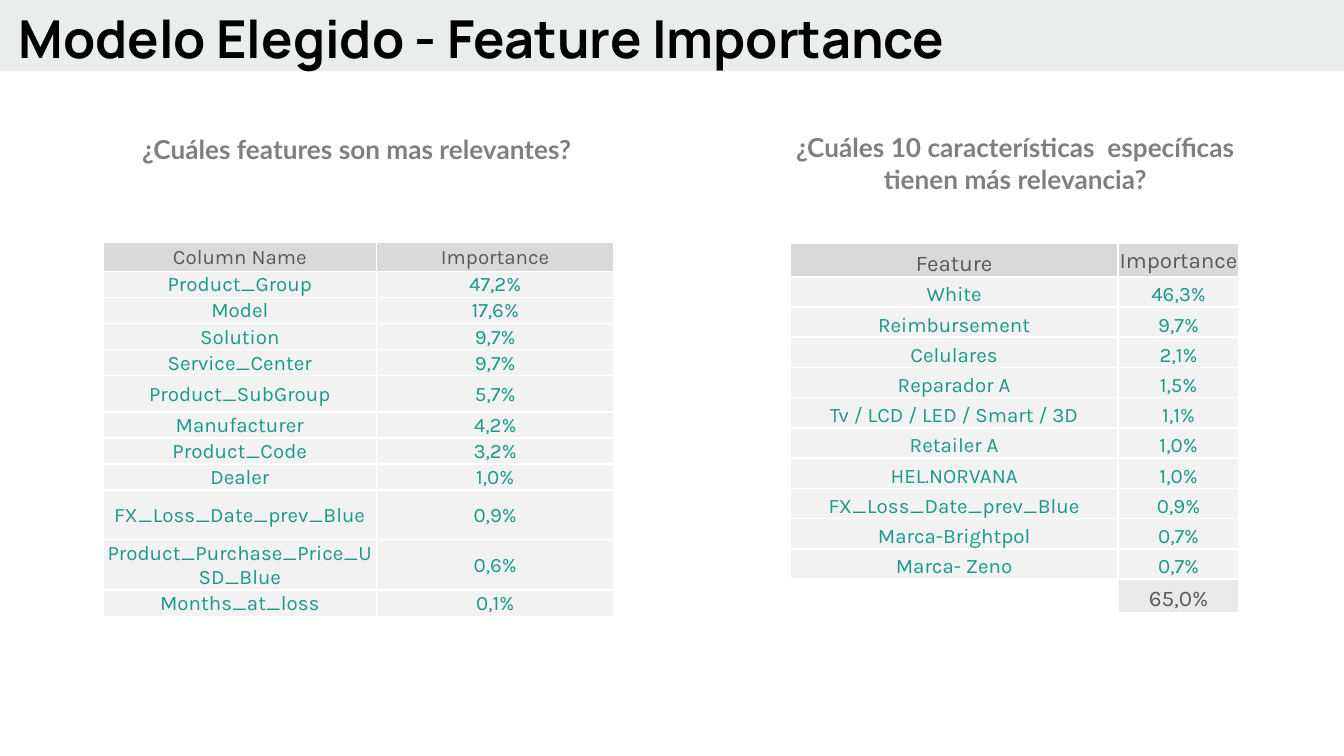
from lxml.etree import SubElement
from pptx import Presentation
from pptx.dml.color import RGBColor
from pptx.enum.shapes import MSO_SHAPE
from pptx.enum.text import MSO_ANCHOR, PP_ALIGN
from pptx.oxml.ns import qn
from pptx.util import Inches, Pt


def color(value):
    return RGBColor.from_string(value)


def write(paragraph, text, font, size, ink, bold=False, align=PP_ALIGN.LEFT):
    paragraph.alignment = align
    run = paragraph.add_run()
    run.text = text
    run.font.name = font
    run.font.size = Pt(size)
    run.font.bold = bold
    run.font.color.rgb = color(ink)


class SlideBuilder:
    white = "FFFFFF"
    band_fill = "E9EDEE"
    header_fill = "D9D9D9"
    body_fill = "F2F2F2"
    total_fill = "E9E9E9"
    gray = "595959"
    teal = "1A9988"
    table_font = "Karla"

    def __init__(self, slide):
        self.slide = slide

    def band(self, left, top, width, height):
        band = self.slide.shapes.add_shape(
            MSO_SHAPE.RECTANGLE, Inches(left), Inches(top), Inches(width), Inches(height))
        band.shadow.inherit = False
        band.fill.solid()
        band.fill.fore_color.rgb = color(self.band_fill)
        band.line.fill.background()

    def text(self, box, lines, inset=0.05, **style):
        frame = self.slide.shapes.add_textbox(*map(Inches, box)).text_frame
        frame.word_wrap = True
        frame.margin_left = frame.margin_right = Inches(0.1)
        frame.margin_top = frame.margin_bottom = Inches(inset)
        for index, line in enumerate(lines):
            paragraph = frame.add_paragraph() if index else frame.paragraphs[0]
            write(paragraph, line, **style)

    def borders(self, cell):
        properties = cell._tc.get_or_add_tcPr()
        for side in ("a:lnL", "a:lnR", "a:lnT", "a:lnB"):
            edge = SubElement(properties, qn(side), w=str(Pt(1)))
            fill = SubElement(edge, qn("a:solidFill"))
            SubElement(fill, qn("a:srgbClr"), val=self.white)

    def cell(self, cell, text, fill, size, ink, anchor):
        self.borders(cell)
        cell.margin_left = cell.margin_right = cell.margin_top = Inches(0.01)
        cell.margin_bottom = 0
        cell.vertical_anchor = anchor
        paragraph = cell.text_frame.paragraphs[0]
        if text:
            cell.fill.solid()
            cell.fill.fore_color.rgb = color(fill)
            write(paragraph, text, self.table_font, size, ink, align=PP_ALIGN.CENTER)
        else:
            cell.fill.background()
            SubElement(paragraph._p, qn("a:endParaRPr"), sz=str(size * 100))

    def table(self, left, top, widths, heights, rows, header_size, anchor, total=False):
        table = self.slide.shapes.add_table(
            len(rows), len(widths), Inches(left), Inches(top),
            Inches(sum(widths)), Inches(sum(heights))).table
        table.first_row = table.horz_banding = False
        for column, width in zip(table.columns, widths):
            column.width = Inches(width)
        for row, height in zip(table.rows, heights):
            row.height = Inches(height)
        for r, values in enumerate(rows):
            if r == 0:
                look = self.header_fill, header_size, self.gray
            elif total and r == len(rows) - 1:
                look = self.total_fill, header_size, self.gray
            else:
                look = self.body_fill, 11, self.teal
            for c, value in enumerate(values):
                self.cell(table.cell(r, c), value, *look, anchor)
        return table


def main():
    presentation = Presentation()
    presentation.slide_width = Inches(10)
    presentation.slide_height = Inches(10 * 9 / 16)
    builder = SlideBuilder(presentation.slides.add_slide(presentation.slide_layouts[6]))

    builder.band(0, 0, 10, 0.53)
    builder.text((0.04, -0.05, 8.41, 0.59), ["Modelo Elegido - Feature Importance"],
                 inset=0.1, font="Manrope", size=28, ink="000000", bold=True)

    question = dict(font="Lato", size=14, ink="808080", bold=True)
    builder.text((0.96, 0.94, 5.59, 0.34), ["¿Cuáles features son mas relevantes?"], **question)
    builder.text((4.76, 0.93, 5.59, 0.57),
                 ["¿Cuáles 10 características  específicas", "tienen más relevancia?"],
                 align=PP_ALIGN.CENTER, **question)

    specific_features = [
        ("Feature", "Importance"),
        ("White", "46,3%"),
        ("Reimbursement", "9,7%"),
        ("Celulares", "2,1%"),
        ("Reparador A", "1,5%"),
        ("Tv / LCD / LED / Smart / 3D", "1,1%"),
        ("Retailer A", "1,0%"),
        ("HEL.NORVANA", "1,0%"),
        ("FX_Loss_Date_prev_Blue", "0,9%"),
        ("Marca-Brightpol", "0,7%"),
        ("Marca- Zeno", "0,7%"),
        ("", "65,0%"),
    ]
    feature_height = (2.75 - 2 * 0.25) / 10
    specific_table = builder.table(
        5.88, 1.81, [2.44, 0.9], [0.25] + [feature_height] * 10 + [0.25],
        specific_features, 12, MSO_ANCHOR.BOTTOM, total=True)
    specific_table.cell(0, 1).vertical_anchor = MSO_ANCHOR.MIDDLE

    columns = [
        ("Column Name", "Importance"),
        ("Product_Group", "47,2%"),
        ("Model", "17,6%"),
        ("Solution", "9,7%"),
        ("Service_Center", "9,7%"),
        ("Product_SubGroup", "5,7%"),
        ("Manufacturer", "4,2%"),
        ("Product_Code", "3,2%"),
        ("Dealer", "1,0%"),
        ("FX_Loss_Date_prev_Blue", "0,9%"),
        ("Product_Purchase_Price_USD_Blue", "0,6%"),
        ("Months_at_loss", "0,1%"),
    ]
    line_height = (2.74 - 0.22 - 0.27 - 2 * 0.37) / 8
    column_heights = ([0.22] + [line_height] * 4 + [0.27] + [line_height] * 3
                      + [0.37] * 2 + [line_height])
    builder.table(0.77, 1.8, [2.03, 1.77], column_heights, columns, 11, MSO_ANCHOR.MIDDLE)

    presentation.save("out.pptx")


if __name__ == "__main__":
    main()
